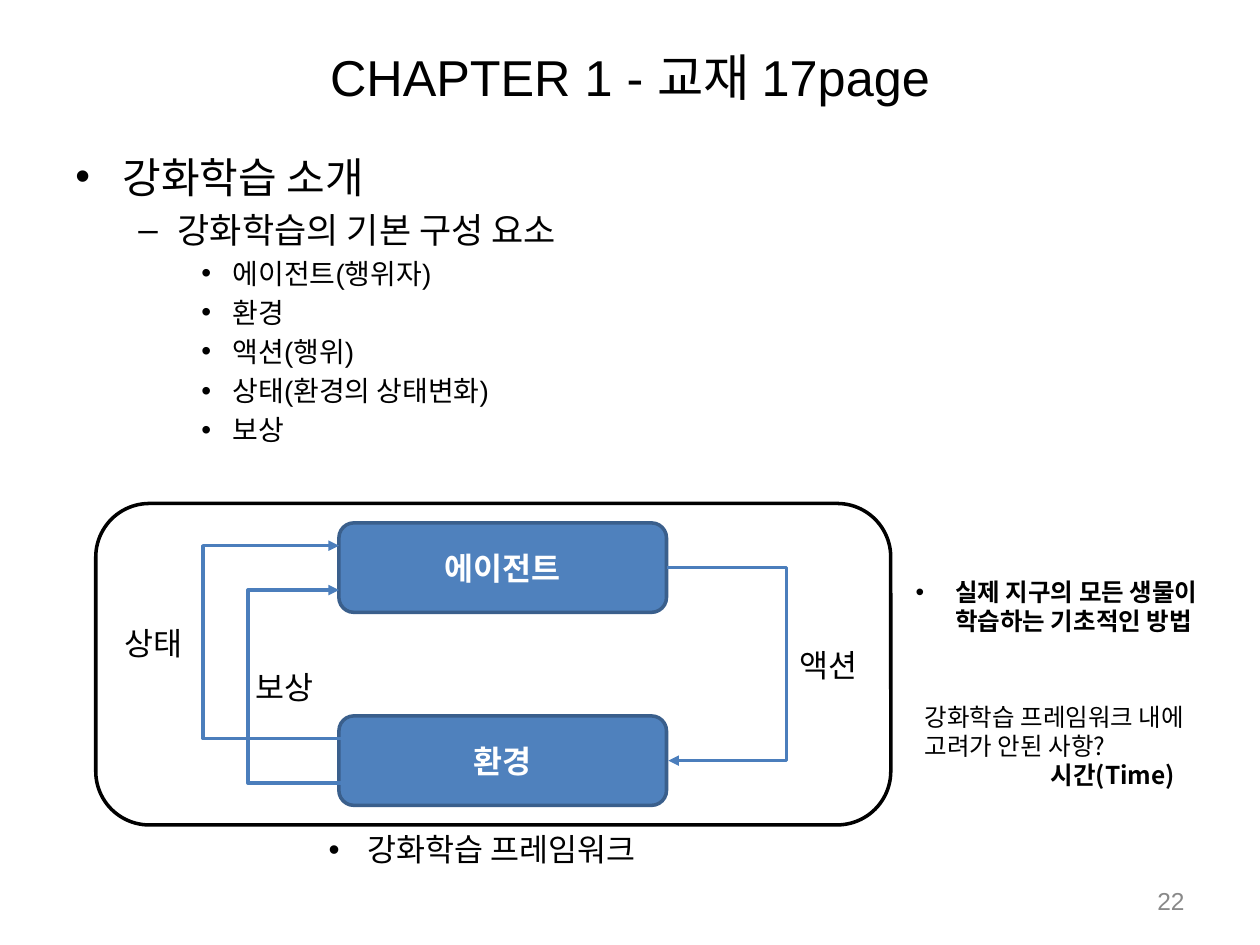
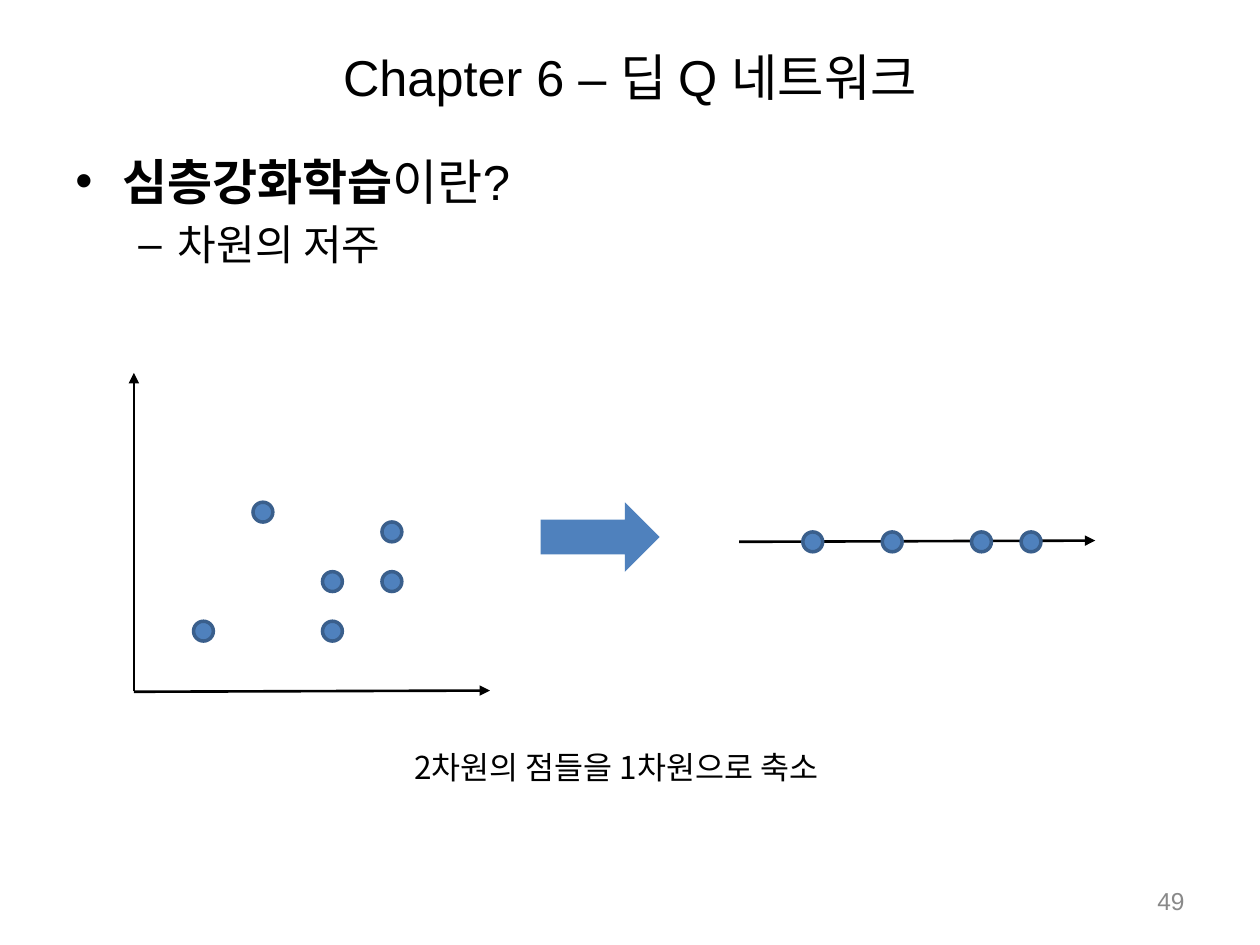
"""Builds two lecture slides on reinforcement learning and dimension reduction."""
from lxml import etree
from pptx import Presentation
from pptx.dml.color import RGBColor
from pptx.enum.shapes import MSO_CONNECTOR, MSO_SHAPE
from pptx.enum.text import MSO_ANCHOR, PP_ALIGN
from pptx.oxml.ns import qn
from pptx.util import Pt

ELBOW, STRAIGHT = MSO_CONNECTOR.ELBOW, MSO_CONNECTOR.STRAIGHT
ROUNDED, OVAL, RIGHT_ARROW = MSO_SHAPE.ROUNDED_RECTANGLE, MSO_SHAPE.OVAL, MSO_SHAPE.RIGHT_ARROW
TOP, MIDDLE = MSO_ANCHOR.TOP, MSO_ANCHOR.MIDDLE
LEFT, CENTER, RIGHT = PP_ALIGN.LEFT, PP_ALIGN.CENTER, PP_ALIGN.RIGHT

COLORS = {name: RGBColor.from_string(value) for name, value in {
    "text": "000000", "number": "898989", "white": "FFFFFF",
    "fill": "4F81BD", "edge": "3A5F8C", "flow": "4B7EBC"}.items()}
LATIN, KOREAN = "Arial", "Noto Sans CJK KR"
BODY_LEVELS = [("•", 27, -27), ("–", 58.5, -22.5), ("•", 90, -18)]
NOTE_BULLET = ("•", 22.5, -22.5)
PLAIN = (None, 0, 0)


def write(frame, lines, font=KOREAN, color="text", align=LEFT, anchor=TOP, gap=0):
    """Fill a frame with lines of (runs, size, bold, (bullet, margin, indent))."""
    frame.word_wrap = True
    frame.vertical_anchor = anchor
    for number, (runs, size, bold, (bullet, margin, indent)) in enumerate(lines):
        paragraph = frame.add_paragraph() if number else frame.paragraphs[0]
        paragraph.alignment = align
        paragraph.space_before = Pt(gap * size if number else 0)
        properties = paragraph._p.get_or_add_pPr()
        properties.set("marL", str(Pt(margin)))
        properties.set("indent", str(Pt(indent)))
        if bullet:
            etree.SubElement(properties, qn("a:buFont")).set("typeface", LATIN)
            etree.SubElement(properties, qn("a:buChar")).set("char", bullet)
        paragraph.font.name = font
        paragraph.font.size = Pt(size)
        paragraph.font.color.rgb = COLORS[color]
        etree.SubElement(properties.find(qn("a:defRPr")), qn("a:ea")).set("typeface", KOREAN)
        if isinstance(runs, str):
            paragraph.font.bold = bold
            paragraph.add_run().text = runs
        else:
            for text, run_bold in runs:
                run = paragraph.add_run()
                run.text = text
                run.font.bold = run_bold


def draw_arrow(slide, kind, start, end, color, width):
    """Draw a line with a triangle at its end."""
    arrow = slide.shapes.add_connector(kind, *map(Pt, start + end))
    arrow.line.color.rgb = COLORS[color]
    arrow.line.width = Pt(width)
    etree.SubElement(arrow.line._get_or_add_ln(), qn("a:tailEnd")).set("type", "triangle")
    etree.SubElement(arrow._element.spPr, qn("a:effectLst"))
    return arrow


prs = Presentation()
prs.slide_width, prs.slide_height = Pt(720), Pt(540)

pages = [
    ("CHAPTER 1 - 교재 17page", "22",
     [("강화학습 소개", 24, 0), ("강화학습의 기본 구성 요소", 20, 1)]
     + [(element, 16, 2) for element in
        ("에이전트(행위자)", "환경", "액션(행위)", "상태(환경의 상태변화)", "보상")]),
    ("Chapter 6 – 딥 Q 네트워크", "49",
     [([("심층강화학습", True), ("이란?", False)], 28, 0), ("차원의 저주", 24, 1)]),
]
slides = []
for title, page_number, outline in pages:
    slide = prs.slides.add_slide(prs.slide_layouts[6])
    slides.append(slide)
    heading = slide.shapes.add_textbox(Pt(36), Pt(21.6), Pt(648), Pt(43.9))
    write(heading.text_frame, [(title, 28.8, False, PLAIN)], LATIN, align=CENTER, anchor=MIDDLE)
    body = slide.shapes.add_textbox(Pt(36), Pt(82.8), Pt(648), Pt(399.6))
    write(body.text_frame, [(runs, size, False, BODY_LEVELS[level]) for runs, size, level in outline],
          LATIN, gap=0.2)
    footer = slide.shapes.add_textbox(Pt(516), Pt(500.5), Pt(168), Pt(28.75))
    write(footer.text_frame, [(page_number, 14, False, PLAIN)], LATIN, "number", RIGHT, MIDDLE)

framework, reduction = slides

BOX_LEFT, BOX_WIDTH, BOX_HEIGHT = 193.7, 187.2, 51.1
AGENT_TOP, STEP = 298.8, 110.3
for row, name in enumerate(("에이전트", "환경")):
    box = framework.shapes.add_shape(ROUNDED, Pt(BOX_LEFT), Pt(AGENT_TOP + row * STEP),
                                     Pt(BOX_WIDTH), Pt(BOX_HEIGHT))
    box.shadow.inherit = False
    box.fill.solid()
    box.fill.fore_color.rgb = COLORS["fill"]
    box.line.color.rgb = COLORS["edge"]
    box.line.width = Pt(2)
    write(box.text_frame, [(name, 18, True, PLAIN)], color="white", align=CENTER, anchor=MIDDLE)

for x, y, reach, turned in [(BOX_LEFT, 311.8, 79.2, True),
                            (BOX_LEFT, 337.2, 53.4, True),
                            (BOX_LEFT + BOX_WIDTH, AGENT_TOP + BOX_HEIGHT / 2, 69.2, False)]:
    flow = draw_arrow(framework, ELBOW, (x, y), (x + 1, y + STEP), "flow", 2)
    bend = etree.SubElement(flow._element.spPr.prstGeom.get_or_add_avLst(), qn("a:gd"))
    bend.set("name", "adj1")
    bend.set("fmla", f"val {round(reach * 100000)}")
    if turned:
        flow._element.spPr.find(qn("a:xfrm")).set("rot", "10800000")

captions = [
    (64.1, 352.8, 56.9, 29, [("상태", 18, False, PLAIN)]),
    (139, 378, 56.9, 29, [("보상", 18, False, PLAIN)]),
    (450, 365.8, 56.9, 29, [("액션", 18, False, PLAIN)]),
    (180.7, 470.9, 230.4, 29, [("강화학습 프레임워크", 18, False, NOTE_BULLET)]),
    (516.2, 326.2, 198.7, 41, [("실제 지구의 모든 생물이 학습하는 기초적인 방법", 14, True, NOTE_BULLET)]),
    (521.3, 397.4, 181.4, 58.3, [("강화학습 프레임워크 내에", 14, False, PLAIN),
                                 ("고려가 안된 사항?", 14, False, PLAIN),
                                 ("시간(Time)", 14, True, (None, 72, 0))]),
]
for left, top, width, height, lines in captions:
    caption = framework.shapes.add_textbox(Pt(left), Pt(top), Pt(width), Pt(height))
    write(caption.text_frame, lines)

boundary = framework.shapes.add_shape(ROUNDED, Pt(54.7), Pt(287.7), Pt(454.3), Pt(183.7))
boundary.shadow.inherit = False
boundary.fill.background()
boundary.line.color.rgb = COLORS["text"]
boundary.line.width = Pt(2)

for start, end in [((76.5, 394.8), (76.5, 213.1)),
                   ((76.5, 395.3), (280, 394.6)),
                   ((422.4, 309.6), (625.9, 308.9))]:
    draw_arrow(reduction, STRAIGHT, start, end, "text", 1.5)

DOT = 11.34
plane_dots = [(110.6, 355), (144.6, 287), (184.3, 326.7), (184.3, 355), (218.3, 326.7), (218.3, 298.3)]
line_dots = [(x, 304) for x in (458.8, 504.2, 583.5, 555.2)]
for x, y in plane_dots + line_dots:
    dot = reduction.shapes.add_shape(OVAL, Pt(x), Pt(y), Pt(DOT), Pt(DOT))
    dot.shadow.inherit = False
    dot.fill.solid()
    dot.fill.fore_color.rgb = COLORS["fill"]
    dot.line.color.rgb = COLORS["edge"]
    dot.line.width = Pt(2)

projection = reduction.shapes.add_shape(RIGHT_ARROW, Pt(308.9), Pt(287), Pt(68), Pt(39.7))
projection.shadow.inherit = False
projection.fill.solid()
projection.fill.fore_color.rgb = COLORS["fill"]
projection.line.fill.background()

summary = reduction.shapes.add_textbox(Pt(229.6), Pt(424.1), Pt(319.7), Pt(29))
write(summary.text_frame, [("2차원의 점들을 1차원으로 축소", 18, False, PLAIN)])

prs.save("out.pptx")
